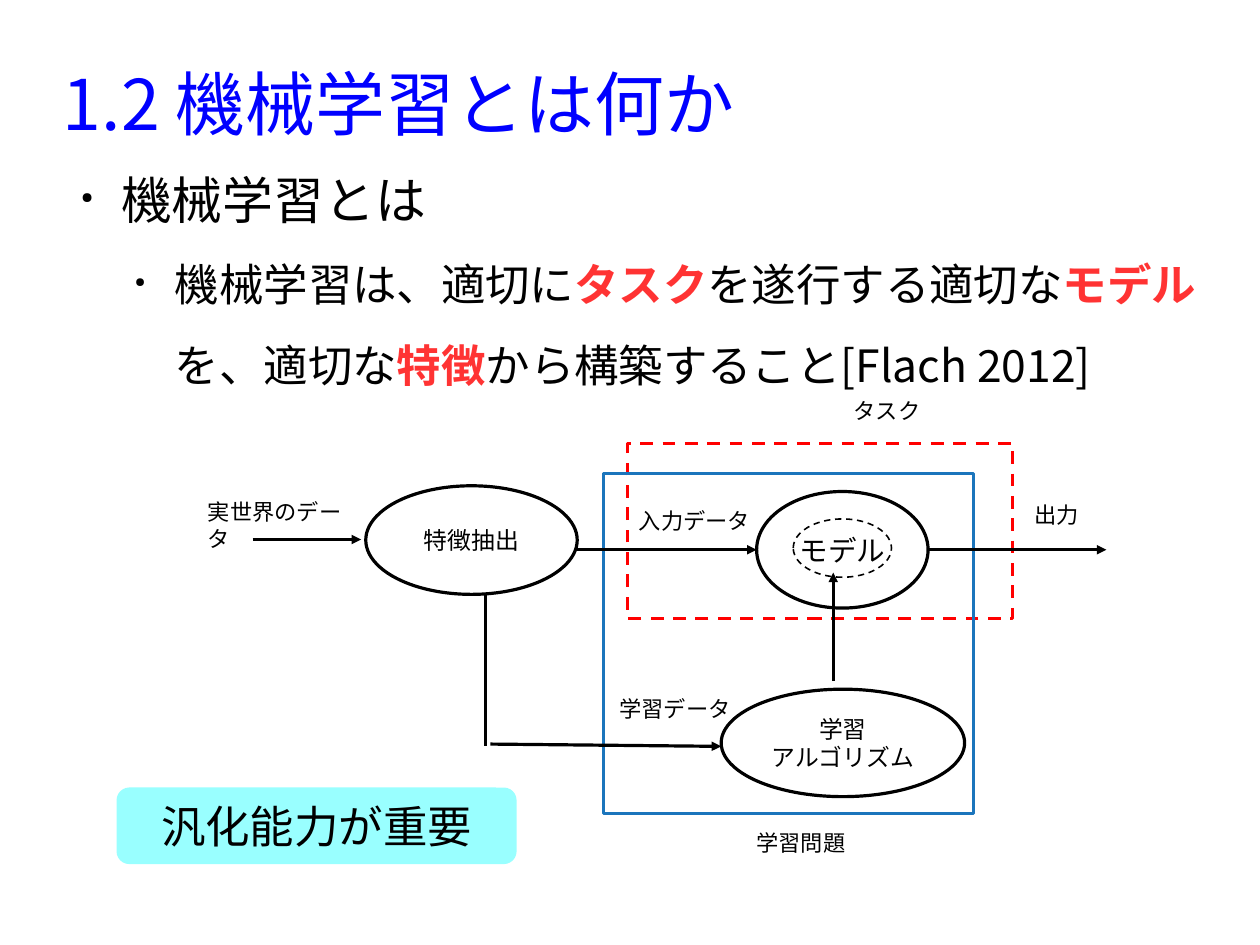
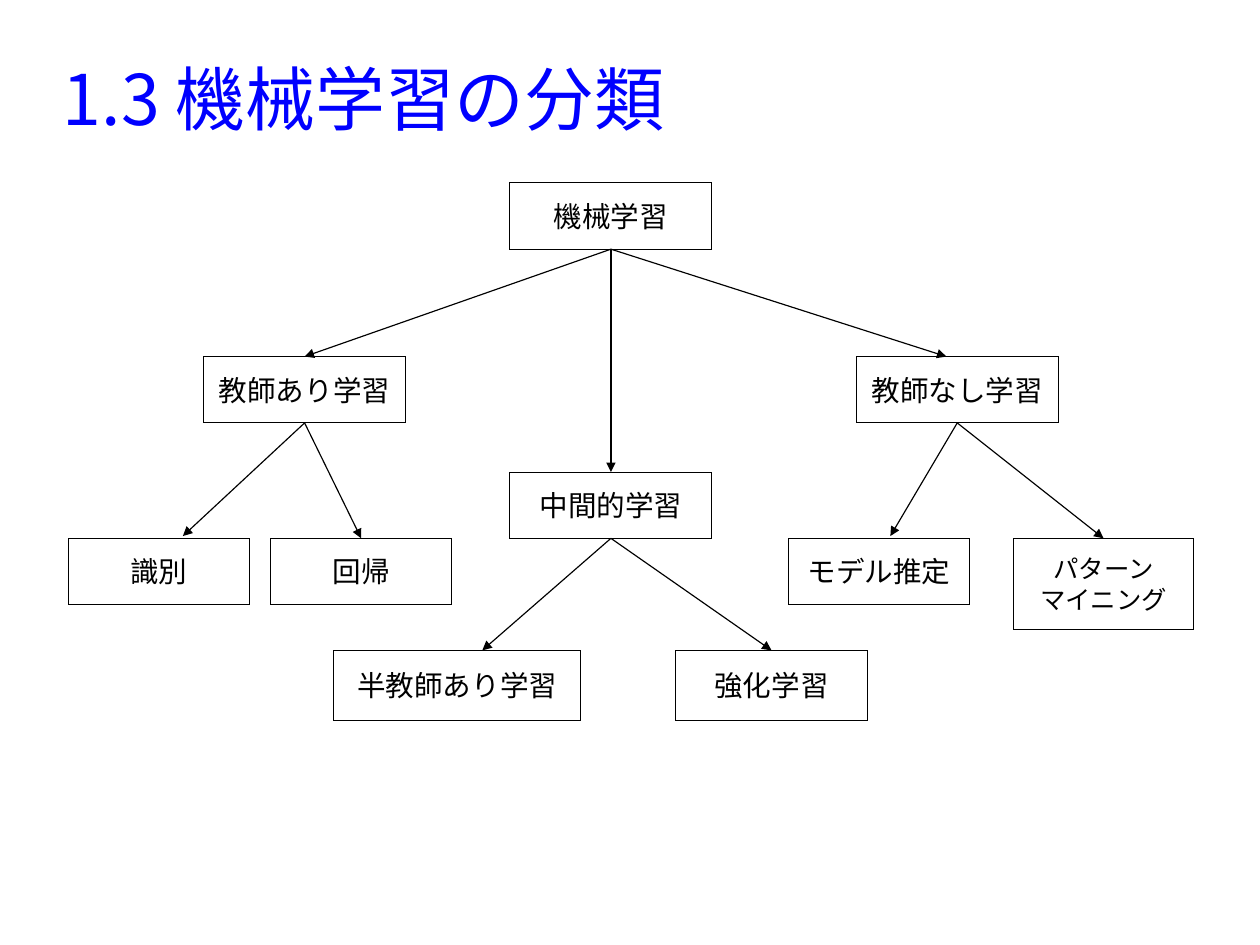
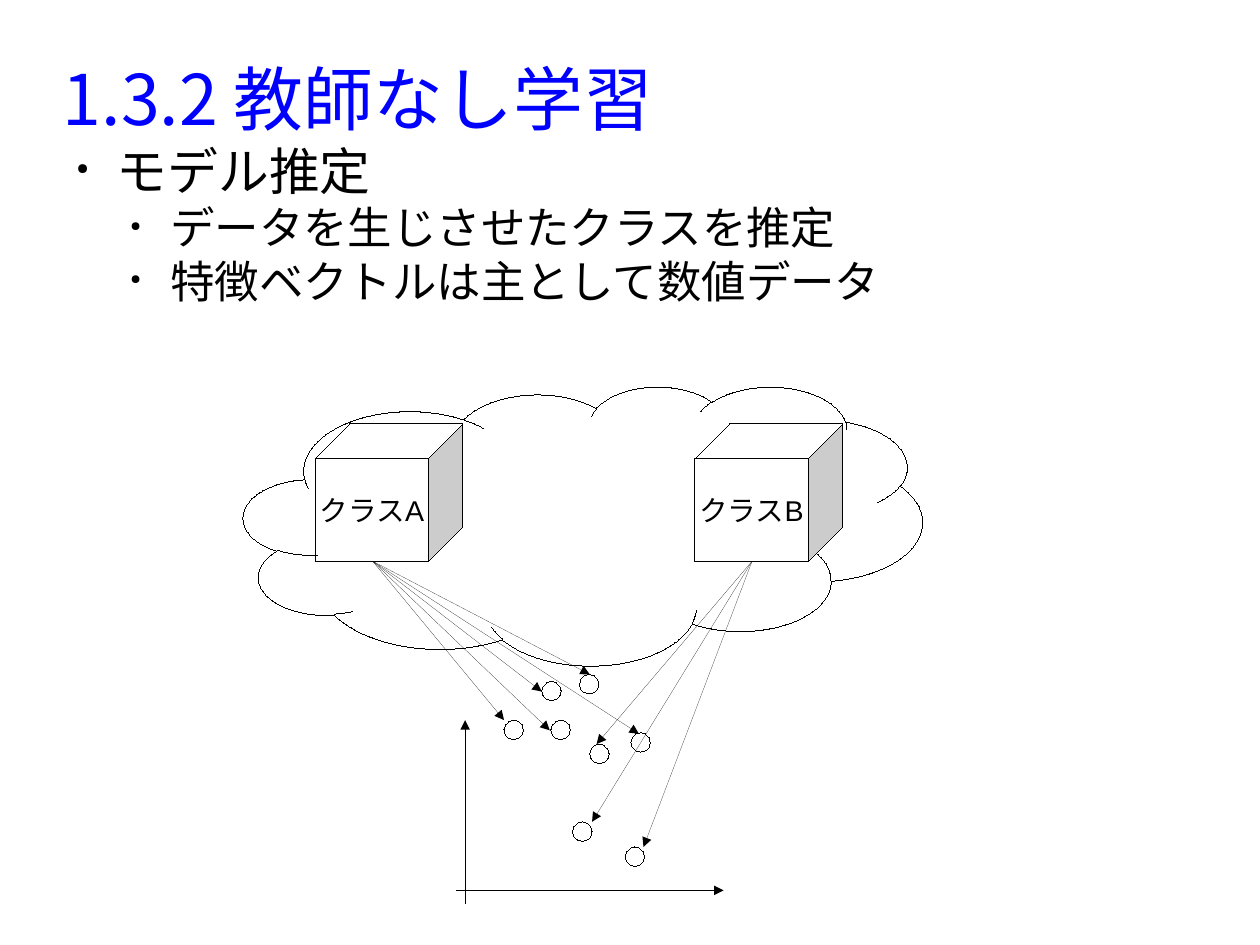
from lxml import etree
from pptx import Presentation
from pptx.dml.color import RGBColor
from pptx.enum.dml import MSO_LINE
from pptx.enum.shapes import MSO_CONNECTOR, MSO_SHAPE
from pptx.enum.text import MSO_ANCHOR, PP_ALIGN
from pptx.oxml.ns import qn
from pptx.util import Inches, Pt

COLORS = {
    "title": "0000FF", "text": "000000", "emphasis": "FF3333", "paper": "FFFFFF",
    "callout": "99FFFF", "task": "FF0000", "problem": "1B75BC",
}
FONT = "Noto Sans CJK JP"
CM_PER_INCH = 2.54
LINE_HEIGHT = 1.2  # times the font size
BODY_SIZES = (32, 28)  # by outline level
HAIRLINE = 0.01


def rgb(name):
    return RGBColor.from_string(COLORS[name])


def add_bullet(paragraph, level):
    paragraph.level = level
    props = paragraph._p.get_or_add_pPr()
    props.set("marL", str(Inches(0.47 * (level + 1))))
    props.set("indent", str(Inches(-0.35)))
    color = etree.SubElement(props, qn("a:buClr"))
    etree.SubElement(color, qn("a:srgbClr"), val=COLORS["text"])
    etree.SubElement(props, qn("a:buSzPct"), val="30000")
    etree.SubElement(props, qn("a:buChar"), char="●")


def style_paragraph(paragraph, size, color="text", font=FONT, spacing=None):
    paragraph.line_spacing = Pt(spacing or round(size * LINE_HEIGHT, 1))
    paragraph.font.size = Pt(size)
    paragraph.font.color.rgb = rgb(color)
    paragraph.font.name = font
    defaults = paragraph._p.pPr.find(qn("a:defRPr"))
    etree.SubElement(defaults, qn("a:ea"), typeface=FONT)


def set_frame(frame, anchor, inset=(0.1, 0.05), wrap=False):
    frame.word_wrap = wrap
    frame.vertical_anchor = anchor
    frame.margin_left = frame.margin_right = Inches(inset[0])
    frame.margin_top = frame.margin_bottom = Inches(inset[1])


class Region:
    """Draws on a slide, with all places counted from its own top left corner."""

    def __init__(self, slide, left, top):
        self.shapes = slide.shapes
        self.left, self.top = left, top

    def place(self, x, y):
        return Inches(round(self.left + x, 2)), Inches(round(self.top + y, 2))

    def shape(self, kind, box, text="", size=18, fill=None, line="text",
              width=HAIRLINE, dash=None, font=FONT):
        x, y, w, h = box
        shape = self.shapes.add_shape(kind, *self.place(x, y), Inches(w), Inches(h))
        shape.shadow.inherit = False
        if fill:
            shape.fill.solid()
            shape.fill.fore_color.rgb = rgb(fill)
        else:
            shape.fill.background()
        if line:
            shape.line.color.rgb = rgb(line)
            shape.line.width = Pt(width)
            if dash:
                shape.line.dash_style = dash
        else:
            shape.line.fill.background()
        if text:
            set_frame(shape.text_frame, MSO_ANCHOR.MIDDLE)
            shape.text_frame.text = text
            for paragraph in shape.text_frame.paragraphs:
                paragraph.alignment = PP_ALIGN.CENTER
                style_paragraph(paragraph, size, font=font)
        return shape

    def label(self, text, x, y, w, wrap=False):
        box = self.shapes.add_textbox(*self.place(x, y), Inches(w), Inches(0.33))
        set_frame(box.text_frame, MSO_ANCHOR.TOP, wrap=wrap)
        box.text_frame.text = text
        style_paragraph(box.text_frame.paragraphs[0], 14)

    def line(self, start, end, width=HAIRLINE, arrow=True):
        connector = self.shapes.add_connector(
            MSO_CONNECTOR.STRAIGHT, *self.place(*start), *self.place(*end))
        connector.line.color.rgb = rgb("text")
        connector.line.width = Pt(width)
        if arrow:
            outline = connector._element.spPr.find(qn("a:ln"))
            etree.SubElement(outline, qn("a:tailEnd"), type="triangle")
        etree.SubElement(connector._element.spPr, qn("a:effectLst"))
        return connector


def add_title(slide, text, top=0.33, height=1.05):
    box = slide.shapes.add_textbox(Inches(0.55), Inches(top), Inches(10.08), Inches(height))
    set_frame(box.text_frame, MSO_ANCHOR.MIDDLE, inset=(0, 0), wrap=True)
    box.text_frame.text = text
    style_paragraph(box.text_frame.paragraphs[0], 44, "title")


def add_body(slide, left, top, height, items, spacing=None):
    """Outline of (level, text) items; text between asterisks is emphasised."""
    box = slide.shapes.add_textbox(Inches(left), Inches(top), Inches(9.92), Inches(height))
    frame = box.text_frame
    set_frame(frame, MSO_ANCHOR.TOP, inset=(0, 0), wrap=True)
    for index, (level, text) in enumerate(items):
        paragraph = frame.add_paragraph() if index else frame.paragraphs[0]
        add_bullet(paragraph, level)
        style_paragraph(paragraph, BODY_SIZES[level], spacing=spacing)
        for part, words in enumerate(text.split("*")):
            run = paragraph.add_run()
            run.text = words
            if part % 2:
                run.font.bold = True
                run.font.color.rgb = rgb("emphasis")


def add_learning_diagram(slide, left, top):
    region = Region(slide, left, top)
    for box, text, size in (
        ((1.5, 0.85, 1.85, 0.95), "特徴抽出", 15),
        ((4.92, 0.9, 1.5, 1.02), "モデル", 18),
        ((4.61, 2.63, 2.13, 0.94), "学習\nアルゴリズム", 15),
    ):
        region.shape(MSO_SHAPE.OVAL, box, text, size, width=2)
    region.shape(MSO_SHAPE.OVAL, (5.24, 1.14, 0.86, 0.51), width=1, dash=MSO_LINE.DASH)
    region.shape(MSO_SHAPE.RECTANGLE, (3.79, 0.48, 3.37, 1.53),
                 line="task", width=2, dash=MSO_LINE.DASH)
    region.shape(MSO_SHAPE.RECTANGLE, (3.58, 0.74, 3.24, 2.98), line="problem", width=2)

    for start, end in (
        ((0.51, 1.32), (1.46, 1.32)),
        ((3.35, 1.41), (4.92, 1.41)),
        ((6.42, 1.41), (7.98, 1.41)),
        ((2.59, 3.11), (4.61, 3.13)),
        ((5.59, 2.56), (5.59, 1.61)),
    ):
        region.line(start, end, width=2)
    region.line((2.55, 1.81), (2.55, 3.13), width=2, arrow=False)

    region.label("実世界のデータ", 0.02, 0.91, 1.5, wrap=True)
    for text, x, y, w in (
        ("入力データ", 3.79, 0.99, 1.25),
        ("出力", 7.25, 0.94, 0.65),
        ("学習データ", 3.62, 2.63, 1.25),
        ("タスク", 5.67, 0.03, 0.85),
        ("学習問題", 4.82, 3.81, 1.05),
    ):
        region.label(text, x, y, w)


def add_learning_tree(slide, left, top):
    region = Region(slide, left, top)
    branch = (1.77, 0.58)
    leaf = (1.58, 0.58)
    nodes = {}
    for text, place, extent in (
        ("機械学習", (3.86, 0), branch),
        ("教師あり学習", (1.18, 1.52), branch),
        ("教師なし学習", (6.89, 1.52), branch),
        ("中間的学習", (3.86, 2.53), branch),
        ("識別", (0, 3.11), leaf),
        ("回帰", (1.77, 3.11), leaf),
        ("モデル推定", (6.3, 3.11), leaf),
        ("パターン\nマイニング", (8.27, 3.11), (1.57, 0.8)),
        ("半教師あり学習", (2.32, 4.09), (2.16, 0.61)),
        ("強化学習", (5.31, 4.09), (1.68, 0.61)),
    ):
        size = 16 if "\n" in text else 18
        nodes[text] = region.shape(MSO_SHAPE.RECTANGLE, place + extent, text, size, "paper")

    # An end point is given where the arrow meets its child off centre.
    for parent, child, end in (
        ("機械学習", "教師あり学習", None),
        ("機械学習", "教師なし学習", (7.68, 1.52)),
        ("機械学習", "中間的学習", None),
        ("教師あり学習", "識別", (1, 3.09)),
        ("教師あり学習", "回帰", None),
        ("教師なし学習", "モデル推定", (7.19, 3.09)),
        ("教師なし学習", "パターン\nマイニング", None),
        ("中間的学習", "半教師あり学習", (3.62, 4.09)),
        ("中間的学習", "強化学習", None),
    ):
        arrow = region.line((0, 0), end or (0, 0), width=0.75)
        arrow.begin_connect(nodes[parent], 2)
        if not end:
            arrow.end_connect(nodes[child], 0)


def add_class_model(slide, left, top):
    """Two classes in a cloud, each sending arrows to the data it generates."""
    region = Region(slide, left, top)
    region.line((1.86, 4.4), (4.2, 4.4))
    region.line((1.94, 4.52), (1.94, 2.91))
    classes = (
        # name, cube left, then (data point, arrow end) pairs
        ("クラスA", 0.63, (
            ((2.28, 2.91), (2.28, 2.91)),
            ((2.61, 2.57), (2.61, 2.66)),
            ((2.94, 2.51), (3.03, 2.51)),
            ((2.69, 2.91), (2.68, 3)),
            ((3.39, 3.02), (3.46, 3.03)),
        )),
        ("クラスB", 3.95, (
            ((3.03, 3.12), (3.09, 3.12)),
            ((2.88, 3.8), (3.05, 3.8)),
            ((3.34, 4.02), (3.5, 4.02)),
        )),
    )
    for name, cube_left, samples in classes:
        region.shape(MSO_SHAPE.CUBE, (cube_left, 0.32, 1.29, 1.2), name,
                     fill="paper", font="Arial")
        for point, _ in samples:
            region.shape(MSO_SHAPE.OVAL, point + (0.17, 0.17), fill="paper")
        for _, end in samples:
            region.line((cube_left + 0.5, 1.52), end)
        if name == "クラスA":
            region.shape(MSO_SHAPE.CLOUD, (0, -0.01, 5.94, 2.44))


def main():
    deck = Presentation()
    deck.slide_width = Inches(28 / CM_PER_INCH)
    deck.slide_height = Inches(21 / CM_PER_INCH)
    blank = deck.slide_layouts[6]

    definition = deck.slides.add_slide(blank)
    add_title(definition, "1.2 機械学習とは何か", top=0.15, height=1.5)
    add_body(definition, 0.59, 1.3, 5.16, (
        (0, "機械学習とは"),
        (1, "機械学習は、適切に*タスク*を遂行する適切な*モデル*を、"
            "適切な*特徴*から構築すること[Flach 2012]"),
    ), spacing=51)
    add_learning_diagram(definition, 1.7, 3.4)
    Region(definition, 1.02, 6.89).shape(
        MSO_SHAPE.ROUNDED_RECTANGLE, (0, 0, 3.5, 0.67), "汎化能力が重要", 28,
        fill="callout", line=None)

    taxonomy = deck.slides.add_slide(blank)
    add_title(taxonomy, "1.3 機械学習の分類")
    add_learning_tree(taxonomy, 0.6, 1.6)

    unsupervised = deck.slides.add_slide(blank)
    add_title(unsupervised, "1.3.2 教師なし学習")
    add_body(unsupervised, 0.55, 1.22, 5.35, (
        (0, "モデル推定"),
        (1, "データを生じさせたクラスを推定"),
        (1, "特徴ベクトルは主として数値データ"),
    ))
    add_class_model(unsupervised, 2.13, 3.39)

    deck.save("out.pptx")


if __name__ == "__main__":
    main()
